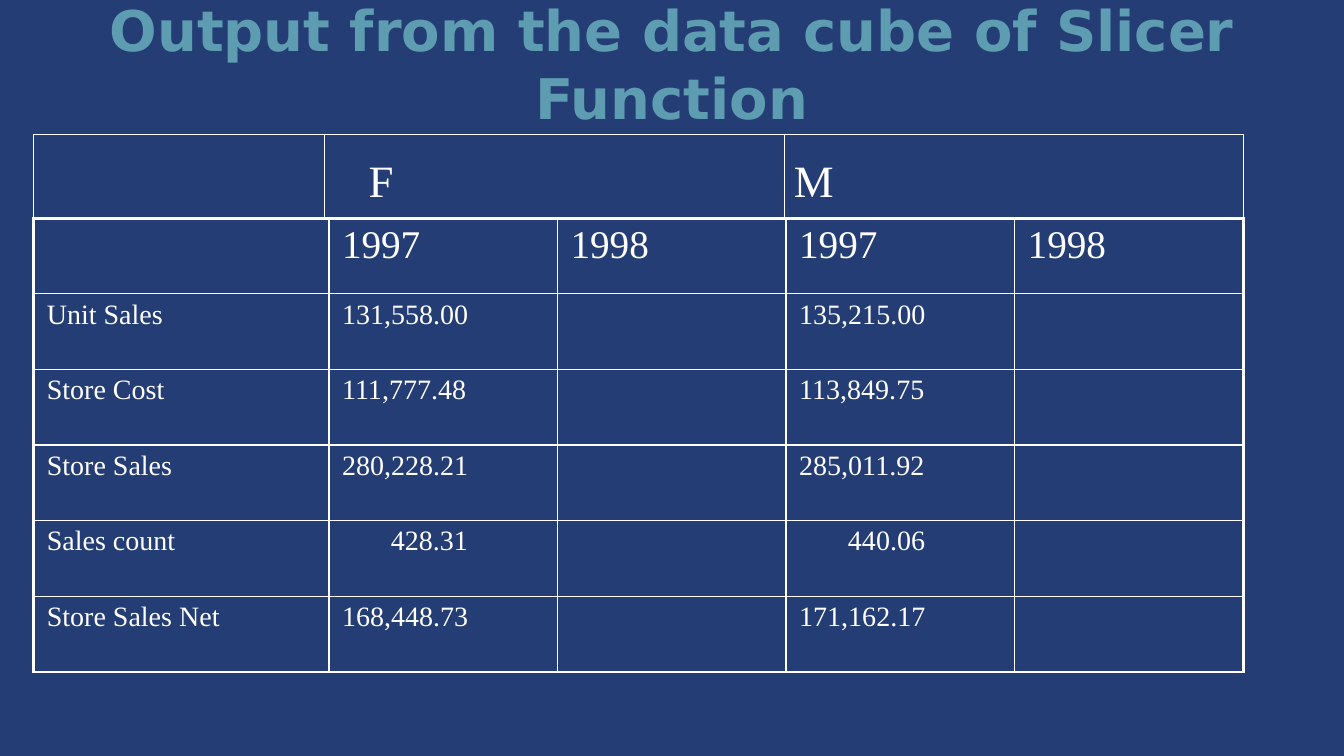
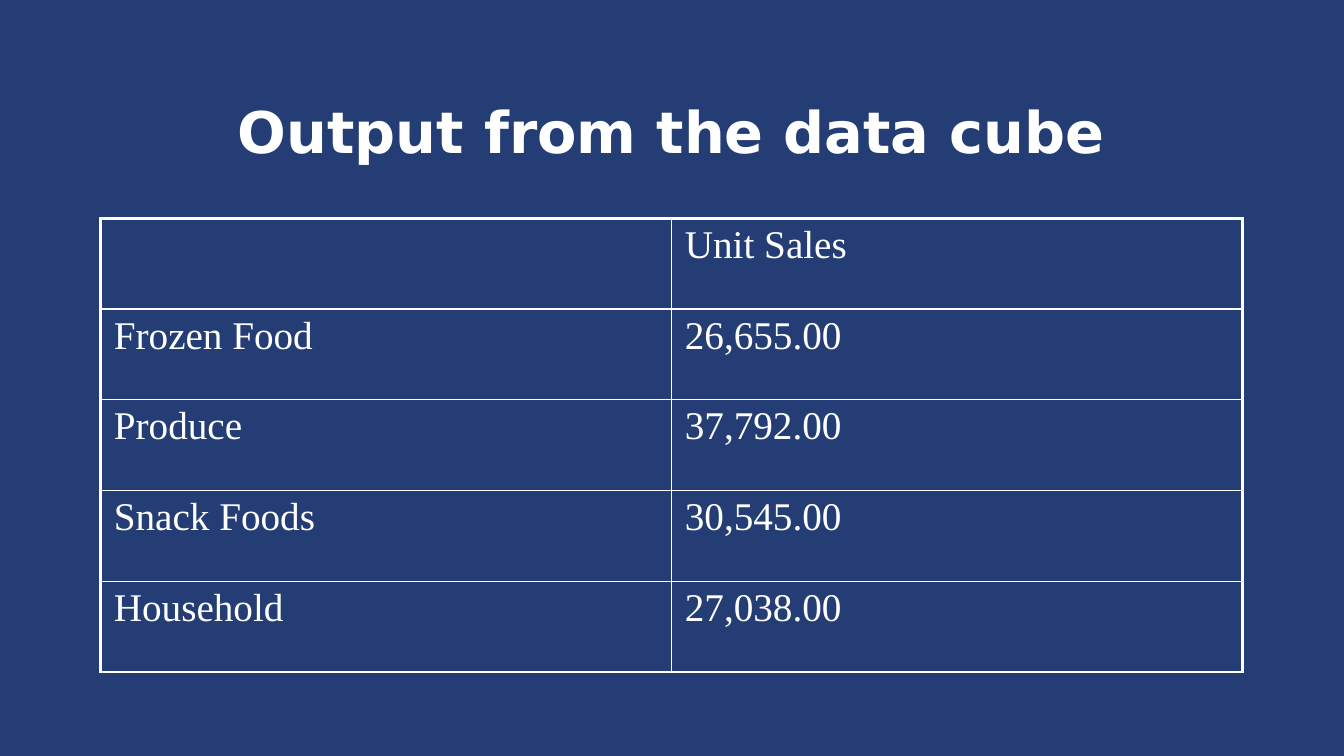
from lxml import etree
from pptx import Presentation
from pptx.dml.color import RGBColor
from pptx.enum.shapes import MSO_CONNECTOR, MSO_SHAPE
from pptx.enum.text import MSO_ANCHOR, PP_ALIGN
from pptx.oxml.ns import qn
from pptx.util import Cm, Pt

STRAIGHT = MSO_CONNECTOR.STRAIGHT
RECTANGLE = MSO_SHAPE.RECTANGLE
MIDDLE, TOP = MSO_ANCHOR.MIDDLE, MSO_ANCHOR.TOP
CENTER, LEFT = PP_ALIGN.CENTER, PP_ALIGN.LEFT

NAVY, WHITE, TEAL = "253D75", "FFFFFF", "5E9CB1"
TITLE = {"name": "DejaVu Sans", "size": Pt(40), "bold": True}
BODY = {"name": "Times New Roman", "size": Pt(28)}
SMALL = {**BODY, "size": Pt(20)}
GROUP = {**BODY, "size": Pt(32)}
OUTER, INNER, RULE = Pt(2.25), Pt(1), Pt(0.75)

CELL_INSETS = {"margin_left": Cm(0.33), "margin_right": Cm(0.33),
               "margin_top": Cm(0.13), "margin_bottom": Cm(0.13)}
LABEL_INSETS = {"margin_left": Cm(0.25), "margin_right": Cm(0.25),
                "margin_top": Cm(0.25), "margin_bottom": 0}
TABLE_TOP, TABLE_HEIGHT = Cm(5.5), Cm(11.43)
SHORT_VALUE_INDENT = Cm(1.23)

SLICER_TITLE = "Output from the data cube of Slicer Function"
SLICER_WIDTHS = [7.44] + [5.76] * 4
SLICER_ROWS = [
    ("", "1997", "1998", "1997", "1998"),
    ("Unit Sales", "131,558.00", "", "135,215.00", ""),
    ("Store Cost", "111,777.48", "", "113,849.75", ""),
    ("Store Sales", "280,228.21", "", "285,011.92", ""),
    ("Sales count", "428.31", "", "440.06", ""),
    ("Store Sales Net", "168,448.73", "", "171,162.17", ""),
]
SLICER_LEFT, BAND_TOP, BAND_HEIGHT = Cm(0.85), Cm(3.39), Cm(2.11)
GROUP_LABELS = [("F", 9.04), ("M", 19.76)]
GROUP_DIVIDERS = [8.18, 19.76]

CUBE_TITLE = "Output from the data cube"
CUBE_WIDTHS = [14.39] * 2
CUBE_ROWS = [
    ("", "Unit Sales"),
    ("Frozen Food", "26,655.00"),
    ("Produce", "37,792.00"),
    ("Snack Foods", "30,545.00"),
    ("Household", "27,038.00"),
]


def rgb(value):
    return RGBColor.from_string(value)


def assign(target, values):
    for name, value in values.items():
        setattr(target, name, value)


def write(tf, text, font, color=WHITE, align=LEFT):
    p = tf.paragraphs[0]
    p.alignment = align
    r = p.add_run()
    r.text = text
    assign(r.font, font)
    r.font.color.rgb = rgb(color)


def add_text(s, box, text, font, color=WHITE, align=LEFT, anchor=TOP, insets=CELL_INSETS):
    tf = s.shapes.add_textbox(*box).text_frame
    assign(tf, {"word_wrap": True, "vertical_anchor": anchor, **insets})
    write(tf, text, font, color, align)


def set_borders(cell, widths):
    tc_pr = cell._tc.get_or_add_tcPr()
    for i, (side, width) in enumerate(widths.items()):
        ln = etree.Element(qn(f"a:ln{side}"), w=str(int(width)))
        fill = etree.SubElement(ln, qn("a:solidFill"))
        etree.SubElement(fill, qn("a:srgbClr"), val=WHITE)
        tc_pr.insert(i, ln)


def add_table(s, left, widths, rows, body_font):
    n_rows, n_cols = len(rows), len(widths)
    width = Cm(sum(widths))
    table = s.shapes.add_table(n_rows, n_cols, left, TABLE_TOP, width, TABLE_HEIGHT).table
    assign(table, {"first_row": False, "horz_banding": False})
    for column, column_width in zip(table.columns, widths):
        column.width = Cm(column_width)
    longest = max(len(value) for row in rows[1:] for value in row[1:])
    for i, row in enumerate(rows):
        table.rows[i].height = TABLE_HEIGHT // n_rows
        for j, text in enumerate(row):
            cell = table.cell(i, j)
            cell.fill.background()
            assign(cell, CELL_INSETS)
            if i and j and 0 < len(text) < longest:
                cell.margin_left += SHORT_VALUE_INDENT
            edges = {"L": j == 0, "R": j == n_cols - 1, "T": i == 0, "B": i == n_rows - 1}
            set_borders(cell, {side: OUTER if edge else INNER for side, edge in edges.items()})
            if text:
                write(cell.text_frame, text, body_font if i else BODY)


def style_line(sp):
    sp.line.color.rgb = rgb(WHITE)
    sp.line.width = RULE


def add_group_band(s):
    sp = s.shapes.add_shape(RECTANGLE, SLICER_LEFT, BAND_TOP, Cm(sum(SLICER_WIDTHS)), BAND_HEIGHT)
    sp.shadow.inherit = False
    sp.fill.background()
    style_line(sp)
    for x in GROUP_DIVIDERS:
        line = s.shapes.add_connector(STRAIGHT, Cm(x), BAND_TOP, Cm(x), BAND_TOP + BAND_HEIGHT)
        style_line(line)
        etree.SubElement(line._element.spPr, qn("a:effectLst"))
    for text, x in GROUP_LABELS:
        add_text(s, (Cm(x), Cm(3.6), Cm(3.96), Cm(1.6)), text, GROUP, insets=LABEL_INSETS)


def add_slide(prs, title, box, font, color):
    s = prs.slides.add_slide(prs.slide_layouts[6])
    add_text(s, box, title, font, color, CENTER, MIDDLE)
    return s


def main():
    prs = Presentation()
    assign(prs, {"slide_width": Cm(33.87), "slide_height": Cm(19.05)})
    background = prs.slide_master.background.fill
    background.solid()
    background.fore_color.rgb = rgb(NAVY)

    s = add_slide(prs, SLICER_TITLE, (Cm(-0.85), 0, Cm(35.56), Cm(3.18)), TITLE, TEAL)
    add_table(s, SLICER_LEFT, SLICER_WIDTHS, SLICER_ROWS, SMALL)
    add_group_band(s)

    cube_font = {**TITLE, "size": Pt(41)}
    s = add_slide(prs, CUBE_TITLE, (Cm(2.54), Cm(1.7), Cm(28.78), Cm(3.18)), cube_font, WHITE)
    add_table(s, Cm(2.54), CUBE_WIDTHS, CUBE_ROWS, BODY)

    prs.save("out.pptx")


if __name__ == "__main__":
    main()
